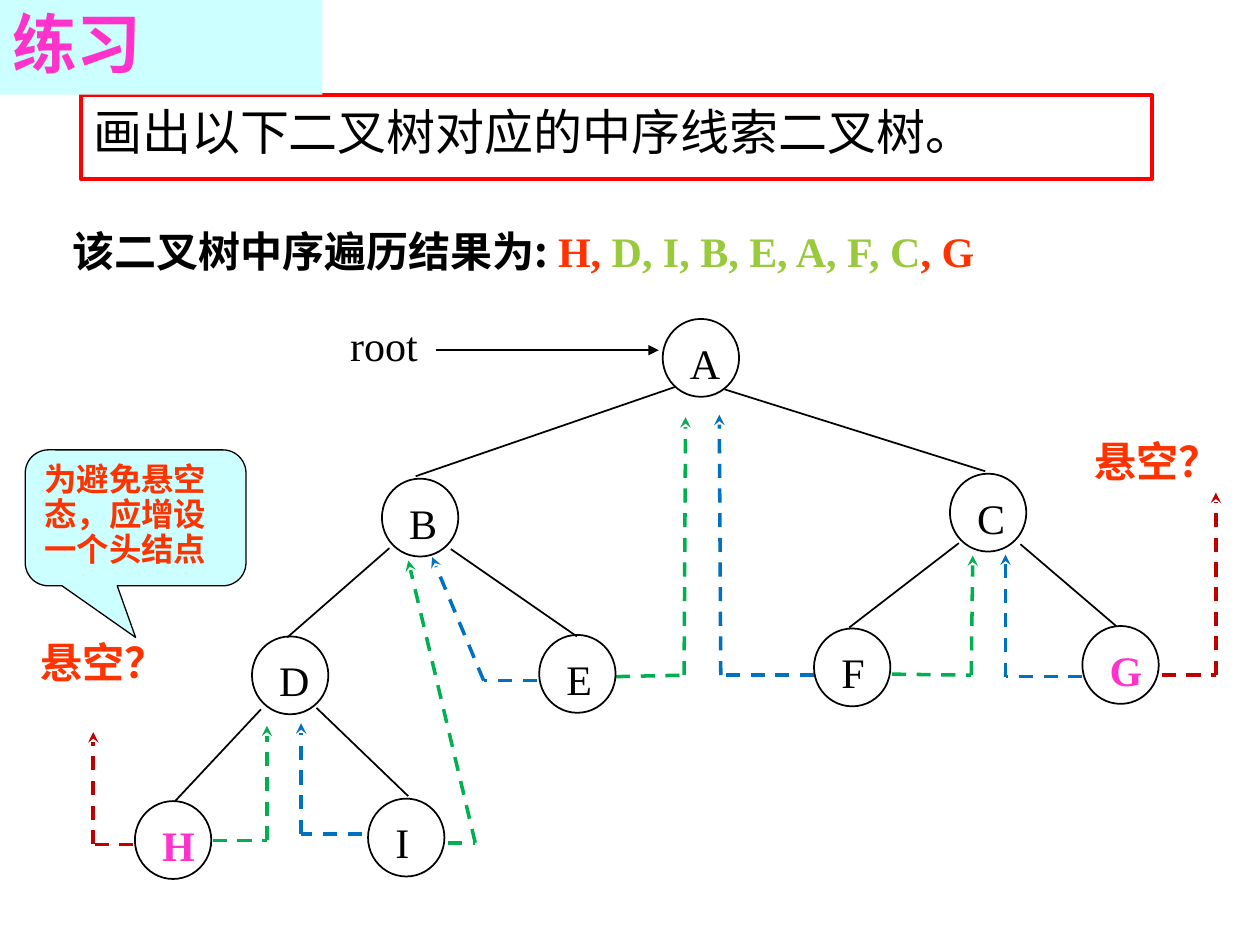
"""Build the exercise slide on the inorder threaded binary tree."""
from itertools import pairwise

from lxml import etree
from pptx import Presentation
from pptx.dml.color import RGBColor
from pptx.enum.dml import MSO_LINE
from pptx.enum.shapes import MSO_CONNECTOR, MSO_SHAPE
from pptx.enum.text import MSO_ANCHOR, PP_ALIGN
from pptx.oxml.ns import qn
from pptx.util import Cm, Pt

LEFT, TOP, MIDDLE = PP_ALIGN.LEFT, MSO_ANCHOR.TOP, MSO_ANCHOR.MIDDLE
DASH, STRAIGHT = MSO_LINE.DASH, MSO_CONNECTOR.STRAIGHT
OVAL, RECT = MSO_SHAPE.OVAL, MSO_SHAPE.RECTANGLE
BUBBLE = MSO_SHAPE.ROUNDED_RECTANGULAR_CALLOUT
ROMAN, SANS, CABIN = "Times New Roman", "Noto Sans CJK SC", "Cabin"

COLORS = {
    "black": "000000", "red": "FF0000", "orange": "FF3300", "pink": "FF33CC",
    "lime": "99CA3C", "sky": "CCFFFF",
    "green": "00B050", "blue": "0070C0", "wine": "C00000",
}

TITLE = "画出以下二叉树对应的中序线索二叉树。"
TAG = "练习"
NOTE = "为避免悬空态，应增设一个头结点"
LOOSE = "悬空？"
ORDER = [
    ("该二叉树中序遍历结果为: ", SANS, "black"),
    ("H, ", ROMAN, "orange"),
    ("D, I, B, E, A, F, C", ROMAN, "lime"),
    (", G", ROMAN, "orange"),
]

# name, left, top, label width
NODES = [
    ("A", 13.36, 6.43, 1.12), ("B", 7.7, 9.65, 1.07), ("C", 19.15, 9.55, 1.07),
    ("D", 5.08, 12.83, 1.12), ("E", 10.87, 12.8, 1.04), ("F", 16.41, 12.67, 0.99),
    ("G", 21.82, 12.62, 1.17), ("H", 2.72, 16.15, 1.17), ("I", 7.42, 16.1, 0.79),
]
ENDS = "GH"
EDGES = [
    ((13.61, 7.8), (8.38, 9.6)), ((14.61, 7.85), (19.86, 9.5)),
    ((7.85, 11.05), (5.79, 12.85)), ((9.09, 11.07), (11.63, 12.83)),
    ((19.33, 10.95), (17.12, 12.65)), ((20.57, 10.97), (22.5, 12.62)),
    ((5.26, 14.3), (3.53, 16.15)), ((6.38, 14.27), (8.23, 16.05)),
]
THREADS = [
    ("green", (9.04, 16.99), (9.58, 16.99), (8.23, 11.3)),
    ("blue", (10.82, 13.72), (9.75, 13.72), (8.71, 11.23)),
    ("blue", (7.29, 16.81), (6.07, 16.81), (6.07, 14.58)),
    ("green", (4.29, 16.94), (5.38, 16.94), (5.38, 14.63)),
    ("blue", (16.41, 13.61), (14.53, 13.61), (14.5, 8.36)),
    ("blue", (21.82, 13.64), (20.27, 13.64), (20.27, 11.18)),
    ("wine", (2.69, 17.02), (1.88, 17.02), (1.88, 14.76)),
    ("green", (12.42, 13.64), (13.79, 13.61), (13.82, 8.41)),
    ("green", (17.98, 13.59), (19.58, 13.61), (19.61, 11.2)),
    ("wine", (23.42, 13.61), (24.51, 13.61), (24.51, 9.93)),
]
INSETS = {"margin_left": Cm(0.25), "margin_right": Cm(0.25),
          "margin_top": Cm(0.13), "margin_bottom": Cm(0.13)}


def tint(name):
    return RGBColor.from_string(COLORS[name])


def apply(target, form):
    for key, value in form.items():
        setattr(target, key, value)


def stroke(line, color, width):
    line.color.rgb = tint(color)
    line.width = Pt(width)


def write(shape, runs, size, bold=False, wrap=True, anchor=TOP, space=1.0):
    frame = shape.text_frame
    apply(frame, INSETS | {"word_wrap": wrap, "vertical_anchor": anchor})
    para = frame.paragraphs[0]
    apply(para, {"alignment": LEFT, "line_spacing": space})
    for text, face, color in runs:
        run = para.add_run()
        run.text = text
        apply(run.font, {"name": face, "size": Pt(size), "bold": bold})
        run.font.color.rgb = tint(color)
        east = etree.SubElement(run.font._element, qn("a:ea"))
        east.set("typeface", SANS)


def label(slide, place, runs, **form):
    write(slide.shapes.add_textbox(*map(Cm, place)), runs, 24, **form)


def draw(slide, kind, place, fill=None, edge=None):
    shape = slide.shapes.add_shape(kind, *map(Cm, place))
    shape.shadow.inherit = False
    if fill:
        shape.fill.solid()
        shape.fill.fore_color.rgb = tint(fill)
    else:
        shape.fill.background()
    if edge:
        stroke(shape.line, "black", edge)
    else:
        shape.line.fill.background()
    return shape


def link(slide, start, end, color="black", width=1, dash=None, tip=None):
    wire = slide.shapes.add_connector(STRAIGHT, *map(Cm, start + end))
    stroke(wire.line, color, width)
    if dash:
        wire.line.dash_style = dash
    if tip:
        tail = etree.SubElement(wire.line._get_or_add_ln(), qn("a:tailEnd"))
        tail.set("type", tip)
    etree.SubElement(wire._element.spPr, qn("a:effectLst"))


def tree(slide):
    for color, *points in THREADS:
        for start, end in pairwise(points):
            tip = "stealth" if end == points[-1] else None
            link(slide, start, end, color, 2, DASH, tip)
    for name, left, top, width in NODES:
        last = name in ENDS
        draw(slide, OVAL, (left, top, 1.54, 1.57), edge=1)
        label(slide, (left + 0.3, top + 0.24, width, 1.27),
              [(name, ROMAN, "pink" if last else "black")], bold=last, wrap=False)
    for start, end in EDGES:
        link(slide, start, end)
    link(slide, (8.79, 7.06), (13.28, 7.06), tip="triangle")
    label(slide, (6.81, 6.32, 1.88, 1.27), [("root", ROMAN, "black")], wrap=False)


def main():
    deck = Presentation()
    apply(deck, {"slide_width": Cm(25.4), "slide_height": Cm(19.05)})
    slide = deck.slides.add_slide(deck.slide_layouts[5])
    title = slide.shapes.title
    apply(title, {"left": Cm(1.63), "top": Cm(1.91),
                  "width": Cm(21.59), "height": Cm(1.7)})
    stroke(title.line, "red", 2.25)
    write(title, [(TITLE, CABIN, "black")], 28)
    tree(slide)
    for place in ((0.56, 12.7, 3.61, 1.27), (21.82, 8.64, 3.45, 1.27)):
        label(slide, place, [(LOOSE, ROMAN, "orange")], bold=True)
    label(slide, (1.22, 4.42, 22.43, 1.27), ORDER, bold=True)
    note = draw(slide, BUBBLE, (0.51, 9.07, 4.45, 2.74), "sky", 0.75)
    for spot, value in enumerate((0, 0.88, 0.17)):
        note.adjustments[spot] = value
    write(note, [(NOTE, ROMAN, "orange")], 18.5, bold=True, space=0.9)
    tag = draw(slide, RECT, (0, 0, 6.5, 1.91), "sky")
    write(tag, [(TAG, SANS, "pink")], 37, bold=True, anchor=MIDDLE, space=0.9)
    deck.save("out.pptx")


if __name__ == "__main__":
    main()
